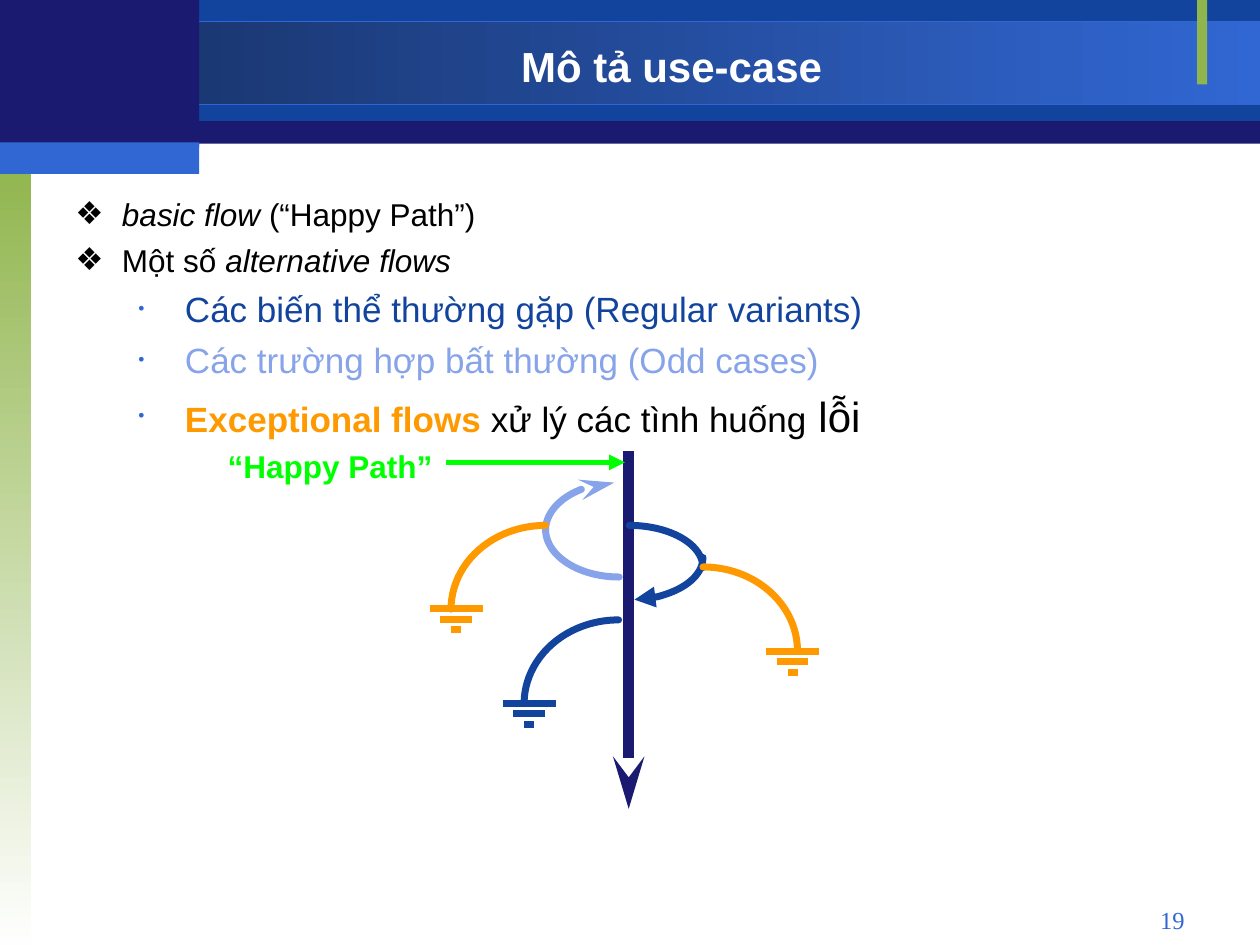
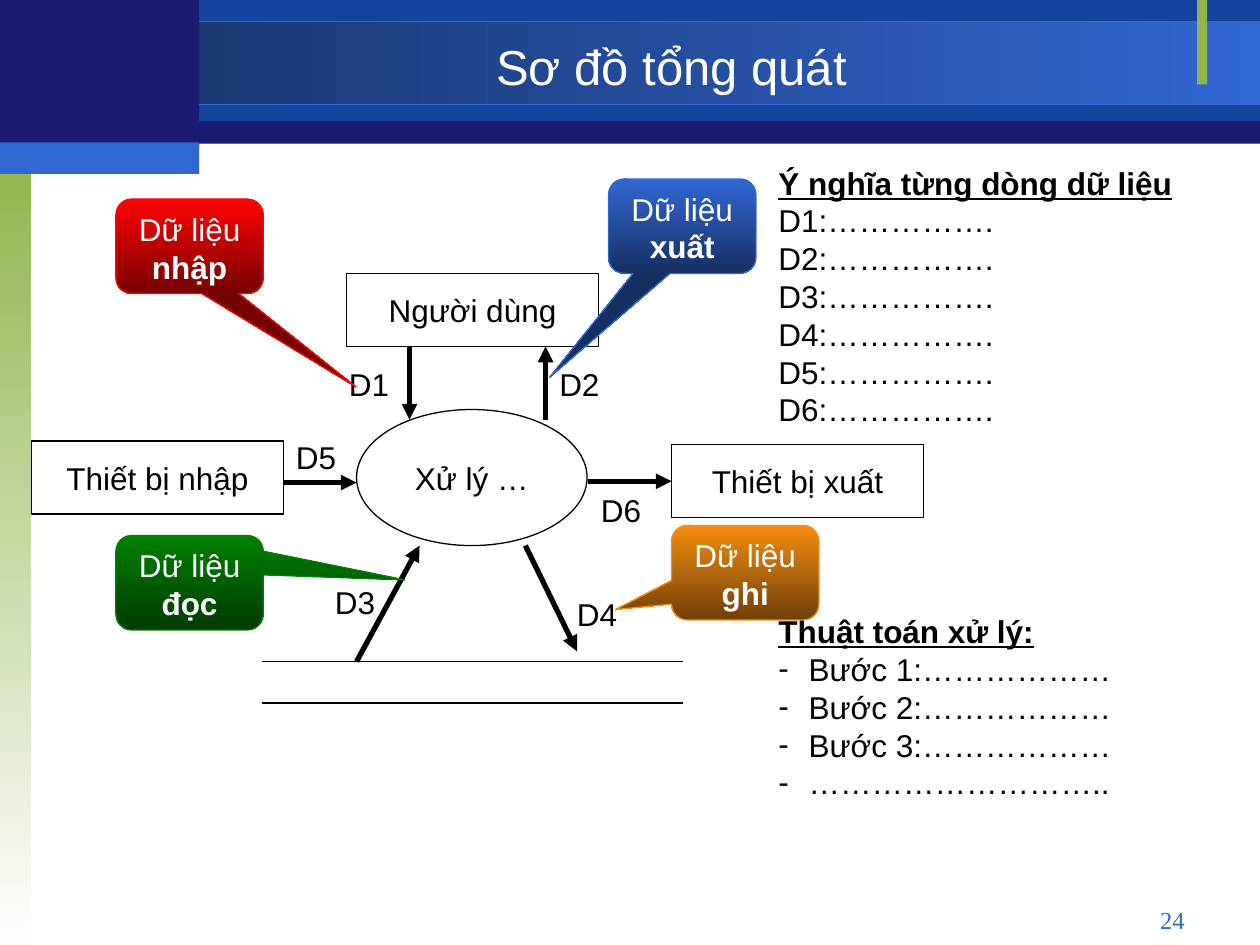
from lxml import etree
from pptx import Presentation
from pptx.dml.color import RGBColor
from pptx.enum import shapes, text
from pptx.oxml import ns
from pptx.util import Inches, Pt

COLORS = {
    "navy": "1A1A70", "blue": "12449E", "bright": "3167D3", "deep": "162F61",
    "pale": "87A3E9", "leaf": "90B54D", "paper": "FEFEFE", "white": "FFFFFF",
    "black": "000000", "orange": "FF9900", "lime": "00FF00",
    "red": "FF0303", "maroon": "750101", "green": "008000", "forest": "003B00",
    "amber": "F48D10", "brown": "704007",
}
SHAPE = shapes.MSO_SHAPE
ALIGN = text.PP_ALIGN
ANCHOR = text.MSO_ANCHOR
DOWN, LEFTWARD = 270, 180


def rgb(name):
    return RGBColor.from_string(COLORS[name])


def add_tag(parent, tag, **attributes):
    return etree.SubElement(parent, ns.qn(tag), attributes)


class SlideBuilder:
    """Holds the deck, its style and the slide being drawn."""

    font = "Arial"
    size = 18

    def __init__(self):
        self.deck = Presentation()
        self.deck.slide_width, self.deck.slide_height = Inches(10), Inches(7.5)
        self.layout = self.deck.slide_layouts[5]
        self.page = None

    def new_page(self, title, number, size, bold=False):
        self.page = self.deck.slides.add_slide(self.layout)
        if len(self.deck.slides) == 1:
            self.share_bands()
        box = self.page.shapes.title
        box.left, box.top, box.width, box.height = map(Inches, (1.58, 0.23, 7.5, 0.58))
        box.text_frame.auto_size = text.MSO_AUTO_SIZE.NONE
        self.fill_text(box, [title], ALIGN.CENTER, ANCHOR.MIDDLE,
                       size=size, bold=bold, color="white")
        self.label((7.17, 7.13, 2.33, 0.27), [number], ALIGN.RIGHT,
                   size=14, color="bright", font="Times New Roman")

    def share_bands(self):
        """Draw the bands once and move them to the layout."""
        for at, fill, line in (
            ((0, 0.01, 10, 1.13), "navy", None),
            ((1.58, 0, 8.42, 0.96), "blue", None),
            ((0, 0.17, 10, 0.66), ("bright", "deep", LEFTWARD), "bright"),
            ((0, 1.25, 0.25, 6.25), ("leaf", "paper", DOWN), None),
            ((9.5, 0, 0.08, 0.67), "leaf", None),
            ((0, 0, 1.58, 1.17), "navy", None),
            ((0, 1.13, 1.58, 0.25), "bright", None),
        ):
            band = self.block(at, fill, line)
            self.layout.shapes._spTree.append(band._element)

    def block(self, at, fill=None, line=None, kind=SHAPE.RECTANGLE, weight=0.75):
        """Add a shape; fill is a colour, a (start, end, angle) gradient or None."""
        shape = self.page.shapes.add_shape(kind, *map(Inches, at))
        shape.shadow.inherit = False
        if fill is None:
            shape.fill.background()
        elif isinstance(fill, tuple):
            *ends, angle = fill
            shape.fill.gradient()
            shape.fill.gradient_angle = angle
            for stop, color in zip(shape.fill.gradient_stops, ends):
                stop.color.rgb = rgb(color)
        else:
            shape.fill.solid()
            shape.fill.fore_color.rgb = rgb(fill)
        if line:
            shape.line.color.rgb = rgb(line)
            shape.line.width = Pt(weight)
        else:
            shape.line.fill.background()
        return shape

    def fill_text(self, box, paras, align=ALIGN.LEFT, anchor=ANCHOR.TOP, wrap=True, **style):
        """Fill a box; each paragraph is a string or a list of (text, style) spans."""
        frame = box.text_frame
        frame.word_wrap = wrap
        frame.vertical_anchor = anchor
        for index, spans in enumerate(paras):
            para = frame.add_paragraph() if index else frame.paragraphs[0]
            para.alignment = align
            for words, own in [(spans, {})] if isinstance(spans, str) else spans:
                span = para.add_run()
                span.text = words
                self.style_span(span, **{**style, **own})
        return frame.paragraphs

    def style_span(self, span, size=None, color="black", font=None, bold=False,
                   italic=False, underline=False):
        span.font.name = font or self.font
        span.font.size = Pt(size or self.size)
        span.font.color.rgb = rgb(color)
        span.font.bold = bold
        span.font.italic = italic
        span.font.underline = underline

    def label(self, at, paras, align=ALIGN.LEFT, **style):
        box = self.page.shapes.add_textbox(*map(Inches, at))
        return self.fill_text(box, paras, align, **style)

    def bullet(self, para, mark, color, left, hang, scale=100):
        props = para._p.get_or_add_pPr()
        props.set("marL", str(Inches(left)))
        props.set("indent", str(-Inches(hang)))
        add_tag(add_tag(props, "a:buClr"), "a:srgbClr", val=COLORS[color])
        add_tag(props, "a:buSzPct", val=str(scale * 1000))
        add_tag(props, "a:buFont", typeface=self.font)
        add_tag(props, "a:buChar", char=mark)

    def arrowhead(self, shape, head):
        if head:
            length = "lg" if head == "stealth" else "med"
            add_tag(shape.line._get_or_add_ln(), "a:tailEnd", type=head, w="med", len=length)

    def line(self, start, end, color="black", weight=3, head=None):
        connector = self.page.shapes.add_connector(
            shapes.MSO_CONNECTOR.STRAIGHT, *map(Inches, (*start, *end)))
        connector.line.color.rgb = rgb(color)
        connector.line.width = Pt(weight)
        add_tag(connector._element.spPr, "a:effectLst")
        self.arrowhead(connector, head)
        return connector

    def arc(self, at, start, end, color, head=None):
        """Add a round-capped arc between two clockwise angles in degrees."""
        arc = self.block(at, None, color, SHAPE.ARC, 4)
        for index, angle in enumerate((start, end)):
            arc.adjustments[index] = angle * 0.6
        arc.line._get_or_add_ln().set("cap", "rnd")
        self.arrowhead(arc, head)

    def dead_end(self, center, top, color):
        """Three shrinking bars that end a flow."""
        for row, width in enumerate((0.42, 0.25, 0.08)):
            y = top + row / 12
            self.line((center - width / 2, y), (center + width / 2, y), color, 4)

    def node(self, at, words, kind=SHAPE.RECTANGLE):
        shape = self.block(at, None, "black", kind)
        self.fill_text(shape, [words], ALIGN.CENTER, ANCHOR.MIDDLE, wrap=False)
        return shape

    def callout(self, corner, word, tip, light, dark):
        shape = self.block((*corner, 1.17, 0.75), (light, dark, DOWN), light,
                           SHAPE.ROUNDED_RECTANGULAR_CALLOUT)
        shape.adjustments[0], shape.adjustments[1] = tip
        self.fill_text(shape, [[("Dữ liệu ", {}), (word, {"bold": True})]],
                       ALIGN.CENTER, color="white")


def draw_use_case(builder):
    builder.new_page("Mô tả use-case", "19", 24, bold=True)
    italic = {"italic": True}
    paras = builder.label((0.5, 1.5, 9, 5.5), [
        [("basic flow", italic), (" (“Happy Path”)", {})],
        [("Một số ", {}), ("alternative flows", italic)],
        [("Các biến thể thường gặp (Regular variants)", {"size": 20, "color": "blue"})],
        [("Các trường hợp bất thường (Odd cases)", {"size": 20, "color": "pale"})],
        [("Exceptional flows ", {"size": 20, "color": "orange", "bold": True}),
         ("xử lý các tình huống", {"size": 20}), (" lỗi", {"size": 24})],
    ])
    for index, (para, gap) in enumerate(zip(paras, (0, 4.5, 5, 5, 6))):
        if index < 2:
            builder.bullet(para, "❖", "black", 0.37, 0.37)
        else:
            builder.bullet(para, "•", "bright", 0.87, 0.37, 50)
        para.space_before = Pt(gap)

    builder.line((4.99, 3.58), (4.99, 6.42), "navy", 6, "stealth")
    builder.arc((4.41, 4.17, 1.17, 0.67), 270, 0, "blue")
    builder.arc((4.41, 4.09, 1.17, 0.67), 0, 83, "blue", "triangle")
    builder.arc((4.33, 3.82, 1.17, 0.76), 90, 180, "pale")
    builder.arc((4.33, 3.83, 1.17, 0.76), 180, 264, "pale", "stealth")
    for corner, start, center, bars_top, color in (
        ((4.83, 4.5), 270, 6.29, 5.17, "orange"),
        ((4.16, 4.92), 180, 4.2, 5.58, "blue"),
        ((3.58, 4.17), 180, 3.62, 4.83, "orange"),
    ):
        builder.arc((*corner, 1.5, 1.33), start, (start + 90) % 360, color)
        builder.dead_end(center, bars_top, color)
    builder.label((1.08, 3.5, 3.08, 0.4), ["“Happy Path”"], ALIGN.CENTER,
                  color="lime", bold=True)
    builder.line((3.54, 3.67), (4.96, 3.67), "lime", 3, "triangle")


def draw_overview(builder):
    builder.new_page("Sơ đồ tổng quát", "24", 28)
    builder.node((2.75, 2.17, 2, 0.58), "Người dùng")
    builder.node((0.25, 3.5, 2, 0.58), "Thiết bị nhập")
    output = builder.node((5.33, 3.53, 2, 0.58), "Thiết bị xuất")
    builder.node((2.83, 3.25, 1.83, 1.08), "Xử lý …", SHAPE.OVAL)
    for y in (5.25, 5.58):
        builder.line((2.08, y), (5.42, y), weight=0.75)

    flows = (
        ("D1", (3.25, 2.75), (3.25, 3.33), (2.67, 2.85)),
        ("D2", (4.33, 3.33), (4.33, 2.75), (4.34, 2.85)),
        ("D3", (2.83, 5.25), (3.33, 4.33), (2.56, 4.58)),
        ("D4", (4.17, 4.33), (4.58, 5.17), (4.48, 4.67)),
        ("D5", (2.25, 3.83), (2.83, 3.83), (2.25, 3.43)),
        ("D6", (4.67, 3.82), (5.33, 3.82), (4.67, 3.85)),
    )
    for name, start, end, corner in flows:
        arrow = builder.line(start, end, head="triangle")
        builder.label((*corner, 0.52, 0.4), [name], wrap=False)
    arrow.end_connect(output, 1)

    heading = {"bold": True, "underline": True}
    builder.label((6.08, 1.25, 3.75, 2.2),
                  [[("Ý nghĩa từng dòng dữ liệu", heading)]]
                  + [f"{name}:……………." for name, *_ in flows])
    steps = [f"Bước {number}:………………" for number in (1, 2, 3)]
    paras = builder.label((6.08, 4.81, 3.27, 1.6),
                          [[("Thuật toán xử lý:", heading)], *steps,
                           "……………………….."])
    for para in paras[1:]:
        builder.bullet(para, "-", "black", 0.24, 0.24)

    builder.callout((0.92, 1.58), "nhập", (1.13, 1.49), "red", "maroon")
    builder.callout((4.83, 1.42), "xuất", (-0.9, 1.6), "bright", "deep")
    builder.callout((0.92, 4.25), "đọc", (1.46, -0.03), "green", "forest")
    builder.callout((5.33, 4.17), "ghi", (-0.88, 0.39), "amber", "brown")


def main():
    builder = SlideBuilder()
    draw_use_case(builder)
    draw_overview(builder)
    builder.deck.save("out.pptx")


if __name__ == "__main__":
    main()
